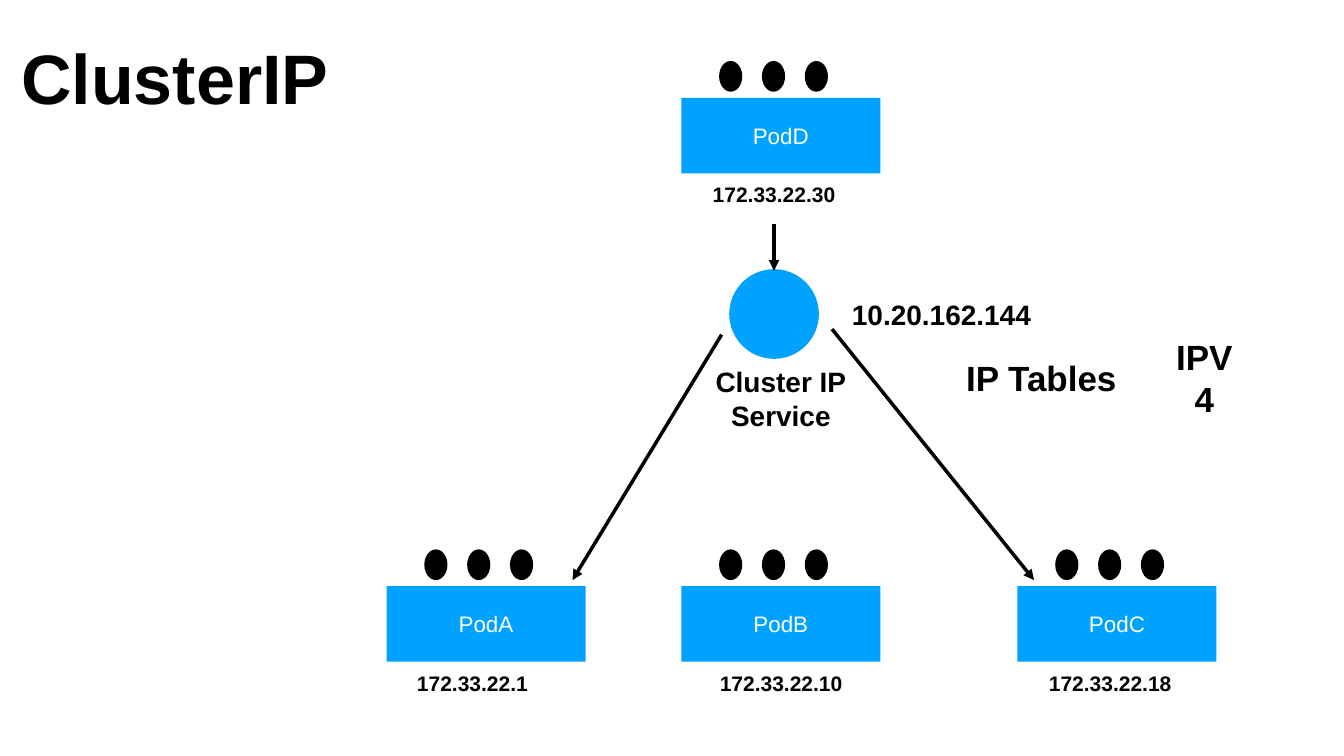
import pptx
import pptx.util
import pptx.dml.color
import pptx.enum.shapes
import pptx.enum.text
import pptx.oxml.ns
from lxml import etree

PX = 9144  # EMU per px, 100 px to the inch
BLUE = pptx.dml.color.RGBColor(0x00, 0xA2, 0xFF)
BLACK = pptx.dml.color.RGBColor(0x00, 0x00, 0x00)
WHITE = pptx.dml.color.RGBColor(0xFF, 0xFF, 0xFF)
SHAPE = pptx.enum.shapes.MSO_SHAPE
POD_W, POD_H = 395, 150

prs = pptx.Presentation()
prs.slide_width, prs.slide_height = 2667 * PX, 1500 * PX
s = prs.slides.add_slide(prs.slide_layouts[5])


def add_solid(kind, x, y, w, h, color):
    sp = s.shapes.add_shape(kind, x * PX, y * PX, w * PX, h * PX)
    sp.shadow.inherit = False
    sp.fill.solid()
    sp.fill.fore_color.rgb = color
    sp.line.fill.background()
    return sp


def write(sp, lines, size, color=BLACK, bold=True, inset=6):
    """Fill a shape with centred, unwrapped lines, one paragraph each."""
    tf = sp.text_frame
    tf.margin_left = tf.margin_right = inset * PX
    tf.margin_top = tf.margin_bottom = inset * PX
    tf.vertical_anchor = pptx.enum.text.MSO_ANCHOR.MIDDLE
    if inset:
        tf.word_wrap = False
        tf.auto_size = pptx.enum.text.MSO_AUTO_SIZE.SHAPE_TO_FIT_TEXT
    for i, line in enumerate(lines):
        p = tf.add_paragraph() if i else tf.paragraphs[0]
        p.alignment = pptx.enum.text.PP_ALIGN.CENTER
        r = p.add_run()
        r.text = line
        r.font.name = "Arial"
        r.font.size = pptx.util.Pt(size)
        r.font.bold = bold
        r.font.color.rgb = color


# Title
title = s.shapes.title
title.left, title.top, title.width, title.height = 35 * PX, 62 * PX, 624 * PX, 178 * PX
write(title, ["ClusterIP"], 100)

# Pods, each with three containers above
pods = [("PodA", 767, 1163), ("PodB", 1352, 1163), ("PodC", 2019, 1163), ("PodD", 1352, 194)]
for name, x, y in pods:
    pod = add_solid(SHAPE.RECTANGLE, x, y, POD_W, POD_H, BLUE)
    write(pod, [name], 32, WHITE, bold=False, inset=0)
    for i in range(3):
        add_solid(SHAPE.OVAL, x + 75 + 85 * i, y - 73, 46, 61, BLACK)

# Service
add_solid(SHAPE.OVAL, 1447, 534, 178, 178, BLUE)

# Arrows
for x1, y1, x2, y2 in [(1651, 653, 2052, 1151), (1536, 445, 1536, 537), (1432, 664, 1136, 1151)]:
    arrow = s.shapes.add_connector(
        pptx.enum.shapes.MSO_CONNECTOR.STRAIGHT, x1 * PX, y1 * PX, x2 * PX, y2 * PX)
    arrow.line.color.rgb = BLACK
    arrow.line.width = pptx.util.Pt(5)
    etree.SubElement(arrow.line._get_or_add_ln(), pptx.oxml.ns.qn("a:tailEnd"), type="triangle")
    etree.SubElement(arrow._element.spPr, pptx.oxml.ns.qn("a:effectLst"))

# Addresses and captions
labels = [
    (["172.33.22.1"], 821, 1324, 233, 61, 30),
    (["172.33.22.10"], 1422, 1324, 256, 61, 30),
    (["172.33.22.18"], 2075, 1324, 256, 61, 30),
    (["172.33.22.30"], 1408, 355, 256, 61, 30),
    (["Cluster IP", "Service"], 1413, 717, 273, 146, 40),
    (["10.20.162.144"], 1684, 584, 368, 78, 40),
    (["IP Tables"], 1911, 703, 311, 94, 50),
    (["IPV4"], 2309, 703, 162, 94, 50),
]
for lines, x, y, w, h, size in labels:
    write(s.shapes.add_textbox(x * PX, y * PX, w * PX, h * PX), lines, size)

prs.save("out.pptx")
